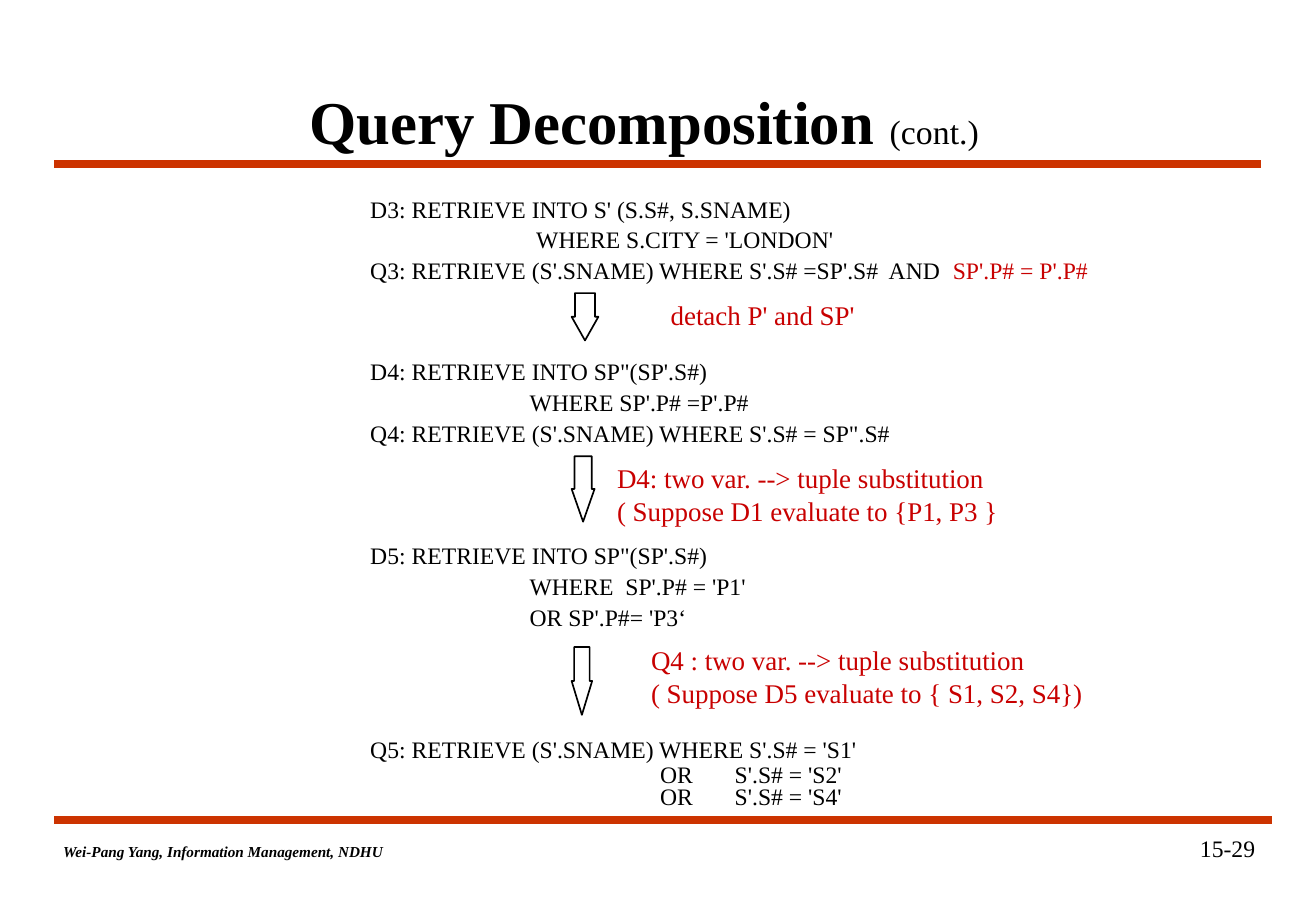
from lxml import etree
from pptx import Presentation, util as u
from pptx.dml.color import RGBColor
from pptx.enum import shapes, text
from pptx.oxml import ns

BLACK = RGBColor(0, 0, 0)
WHITE = RGBColor(255, 255, 255)
RED = RGBColor(0xC8, 0, 0)
RULE_RED = RGBColor(0xCC, 0x33, 0)
FONT = "Times New Roman"
ARROW_LEFT = 11.95
CODE_GAP = 3.35
D3_INDENT, CLAUSE_INDENT, OR_INDENT, OR_TAB = 3.47, 3.33, 6.06, 7.98

CODE_LINES = [
    ("D3: RETRIEVE INTO S' (S.S#, S.SNAME)", 0, 0, 0.8),
    ("WHERE S.CITY = 'LONDON'", D3_INDENT, CODE_GAP, 0.9),
    ("Q3: RETRIEVE (S'.SNAME) WHERE S'.S# =SP'.S#  AND  ", 0, CODE_GAP, 0.9),
    ("D4: RETRIEVE INTO SP\"(SP'.S#)", 0, 44.2, 0.9),
    ("WHERE SP'.P# =P'.P#", CLAUSE_INDENT, CODE_GAP, 0.9),
    ("Q4: RETRIEVE (S'.SNAME) WHERE S'.S# = SP\".S#", 0, CODE_GAP, 0.9),
    ("D5: RETRIEVE INTO SP\"(SP'.S#)", 0, 57.2, 0.9),
    ("WHERE  SP'.P# = 'P1'", CLAUSE_INDENT, CODE_GAP, 0.9),
    ("OR SP'.P#= 'P3‘", CLAUSE_INDENT, CODE_GAP, 0.9),
    ("Q5: RETRIEVE (S'.SNAME) WHERE S'.S# = 'S1'", 0, 63.1, 0.9),
    ("OR\tS'.S# = 'S2'", OR_INDENT, CODE_GAP, 0.6),
    ("OR\tS'.S# = 'S4'", OR_INDENT, CODE_GAP, 0.6),
]
DETACHED_CONDITION = "SP'.P# = P'.P#"

STEPS = [
    (6.13, 0.56, 0.99, (13.77, 6.12, 4.67, 0.91), ["detach P' and SP'"]),
    (9.54, 0.48, 1.37, (12.65, 9.53, 8.61, 1.6),
     ["D4: two var. --> tuple substitution", "( Suppose D1 evaluate to {P1, P3 }"]),
    (13.53, 0.43, 1.42, (13.36, 13.34, 10.26, 1.6),
     ["Q4 : two var. --> tuple substitution", "( Suppose D5 evaluate to { S1, S2, S4})"]),
]


def add_text_frame(slide, box):
    frame = slide.shapes.add_textbox(*(u.Cm(length) for length in box)).text_frame
    frame.word_wrap = True
    return frame


def add_run(paragraph, content, size, color=BLACK, **formats):
    run = paragraph.add_run()
    run.text = content
    run.font.color.rgb = color
    for name, value in {"name": FONT, "size": u.Pt(size), **formats}.items():
        setattr(run.font, name, value)


def next_paragraph(frame, index):
    return frame.add_paragraph() if index else frame.paragraphs[0]


def add_rule(slide, y, right):
    rule = slide.shapes.add_connector(
        shapes.MSO_CONNECTOR.STRAIGHT, u.Cm(1.14), u.Cm(y), u.Cm(right), u.Cm(y))
    rule.line.color.rgb = RULE_RED
    rule.line.width = u.Pt(4.5)
    etree.SubElement(rule._element.spPr, ns.qn("a:effectLst"))


def add_title(slide):
    frame = add_text_frame(slide, (2.11, 1.47, 22.71, 2.11))
    frame.vertical_anchor = text.MSO_ANCHOR.MIDDLE
    paragraph = frame.paragraphs[0]
    paragraph.alignment = text.PP_ALIGN.CENTER
    add_run(paragraph, "Query Decomposition ", 36, bold=True)
    add_run(paragraph, "(cont.)", 20)


def set_indent(paragraph, indent):
    properties = paragraph._p.get_or_add_pPr()
    properties.set("marL", "0")
    properties.set("indent", str(u.Cm(indent)))
    tabs = etree.SubElement(properties, ns.qn("a:tabLst"))
    etree.SubElement(tabs, ns.qn("a:tab"), pos=str(u.Cm(OR_TAB)), algn="l")


def add_code(slide):
    frame = add_text_frame(slide, (7.49, 4.06, 17.27, 12.9))
    for index, (line, indent, gap, spacing) in enumerate(CODE_LINES):
        paragraph = next_paragraph(frame, index)
        set_indent(paragraph, indent)
        formats = {"line_spacing": spacing, "space_before": u.Pt(gap)}
        for name, value in formats.items():
            setattr(paragraph, name, value)
        add_run(paragraph, line, 14)
        if line.startswith("Q3"):
            add_run(paragraph, DETACHED_CONDITION, 14, RED)


def add_down_arrow(slide, top, width, height):
    shape = slide.shapes.add_shape(
        shapes.MSO_SHAPE.DOWN_ARROW,
        u.Cm(ARROW_LEFT), u.Cm(top), u.Cm(width), u.Cm(height))
    shape.adjustments[0] = 0.75
    shape.adjustments[1] = height / (2 * width)
    shape.shadow.inherit = False
    shape.fill.solid()
    shape.fill.fore_color.rgb = WHITE
    shape.line.color.rgb = BLACK
    shape.line.width = u.Pt(1)


def add_note(slide, box, lines):
    frame = add_text_frame(slide, box)
    for index, line in enumerate(lines):
        add_run(next_paragraph(frame, index), line, 16, RED)


def add_footer(slide):
    author = add_text_frame(slide, (1.07, 17.48, 8.2, 0.64)).paragraphs[0]
    add_run(author, "Wei-Pang Yang, Information Management, NDHU", 9, bold=True, italic=True)
    number = add_text_frame(slide, (20.75, 17.32, 5.74, 1.27)).paragraphs[0]
    number.alignment = text.PP_ALIGN.RIGHT
    add_run(number, "15-29", 14)


def main():
    presentation = Presentation()
    presentation.slide_width = u.Cm(27.51)
    presentation.slide_height = u.Cm(19.05)
    slide = presentation.slides.add_slide(presentation.slide_layouts[6])
    add_rule(slide, 3.43, 26.37)
    add_rule(slide, 17.15, 26.59)
    add_title(slide)
    add_code(slide)
    for top, width, height, box, lines in STEPS:
        add_down_arrow(slide, top, width, height)
        add_note(slide, box, lines)
    add_footer(slide)
    presentation.save("out.pptx")


if __name__ == "__main__":
    main()
